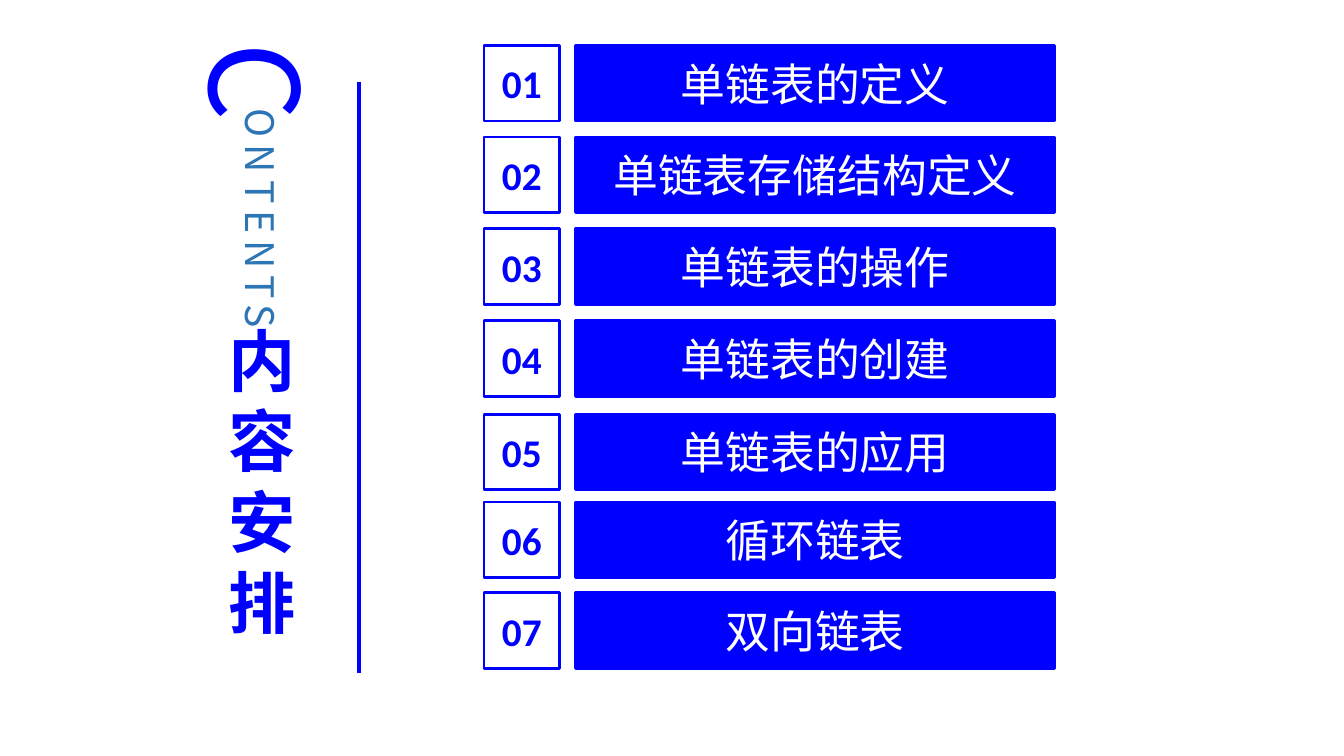
from lxml.etree import SubElement
from pptx import Presentation
from pptx.dml.color import RGBColor
from pptx.enum.shapes import MSO_CONNECTOR, MSO_SHAPE
from pptx.enum.text import MSO_ANCHOR, MSO_AUTO_SIZE, PP_ALIGN
from pptx.oxml.ns import qn
from pptx.util import Pt

EMU_PER_PX = 9144
BLUE = "0000FF"
WHITE = "FFFFFF"
STEEL = "2E75B6"
CHINESE_FONT = "Noto Sans CJK SC"
NUMBER_FONT = "Calibri"

NUMBER_LEFT, TOPIC_LEFT = 480, 571
NUMBER_WIDTH, TOPIC_WIDTH, ROW_HEIGHT = 75, 475, 75
TOPICS = [
    (45, "单链表的定义"),
    (136, "单链表存储结构定义"),
    (227, "单链表的操作"),
    (318, "单链表的创建"),
    (411, "单链表的应用"),
    (498, "循环链表"),
    (588, "双向链表"),
]


def px(*lengths):
    return [length * EMU_PER_PX for length in lengths]


def color(value):
    return RGBColor.from_string(value)


def write(shape, text, size, ink, font=CHINESE_FONT, bold=False,
          align=PP_ALIGN.CENTER, anchor=MSO_ANCHOR.MIDDLE, spacing=0,
          vertical=False, inset=None):
    frame = shape.text_frame
    frame.word_wrap = True
    frame.auto_size = MSO_AUTO_SIZE.NONE
    frame.vertical_anchor = anchor
    if inset is not None:
        frame.margin_left = frame.margin_right = inset
        frame.margin_top = frame.margin_bottom = inset
    if vertical:
        frame._txBody.bodyPr.set("vert", "eaVert")
    para = frame.paragraphs[0]
    para.alignment = align
    span = para.add_run()
    span.text = text
    span.font.size = Pt(size)
    span.font.bold = bold
    span.font.name = font
    span.font.color.rgb = color(ink)
    properties = span.font._element
    SubElement(properties, qn("a:ea")).set("typeface", font)
    if spacing:
        properties.set("spc", str(spacing * 100))


def add_box(page, left, top, width, fill, text, **text_format):
    box = page.shapes.add_shape(
        MSO_SHAPE.RECTANGLE, *px(left, top, width, ROW_HEIGHT))
    box.shadow.inherit = False
    box.fill.solid()
    box.fill.fore_color.rgb = color(fill)
    box.line.color.rgb = color(BLUE)
    box.line.width = Pt(2)
    write(box, text, **text_format)


def add_topic(page, number, top, topic):
    add_box(page, NUMBER_LEFT, top, NUMBER_WIDTH, WHITE, f"{number:02d}",
            size=28, ink=BLUE, font=NUMBER_FONT, bold=True, inset=0)
    add_box(page, TOPIC_LEFT, top, TOPIC_WIDTH, BLUE, topic,
            size=32, ink=WHITE)


def add_vertical_label(page, left, top, width, height, text, **text_format):
    label = page.shapes.add_textbox(*px(left, top, width, height))
    write(label, text, align=PP_ALIGN.LEFT, vertical=True, **text_format)


def add_divider(page, left, top, bottom):
    divider = page.shapes.add_connector(
        MSO_CONNECTOR.STRAIGHT, *px(left, top, left, bottom))
    divider.line.color.rgb = color(BLUE)
    divider.line.width = Pt(3.25)
    SubElement(divider._element.spPr, qn("a:effectLst"))


def place_title(page, left, top, width, height, text, **text_format):
    title = page.shapes.title
    title.left, title.top, title.width, title.height = px(
        left, top, width, height)
    write(title, text, **text_format)


def main():
    deck = Presentation()
    deck.slide_width, deck.slide_height = px(1333, 750)
    page = deck.slides.add_slide(deck.slide_layouts.get_by_name("Title Only"))
    place_title(page, 217, 306, 76, 341, "内容安排",
                size=48, ink=BLUE, bold=True)
    add_vertical_label(page, 199, 32, 115, 130, "C", size=88, ink=BLUE)
    add_vertical_label(page, 220, 98, 67, 251, "ONTENTS", size=28, ink=STEEL,
                       spacing=5, anchor=MSO_ANCHOR.TOP)
    add_divider(page, 356, 81, 668)
    for number, (top, topic) in enumerate(TOPICS, start=1):
        add_topic(page, number, top, topic)
    deck.save("out.pptx")


if __name__ == "__main__":
    main()
